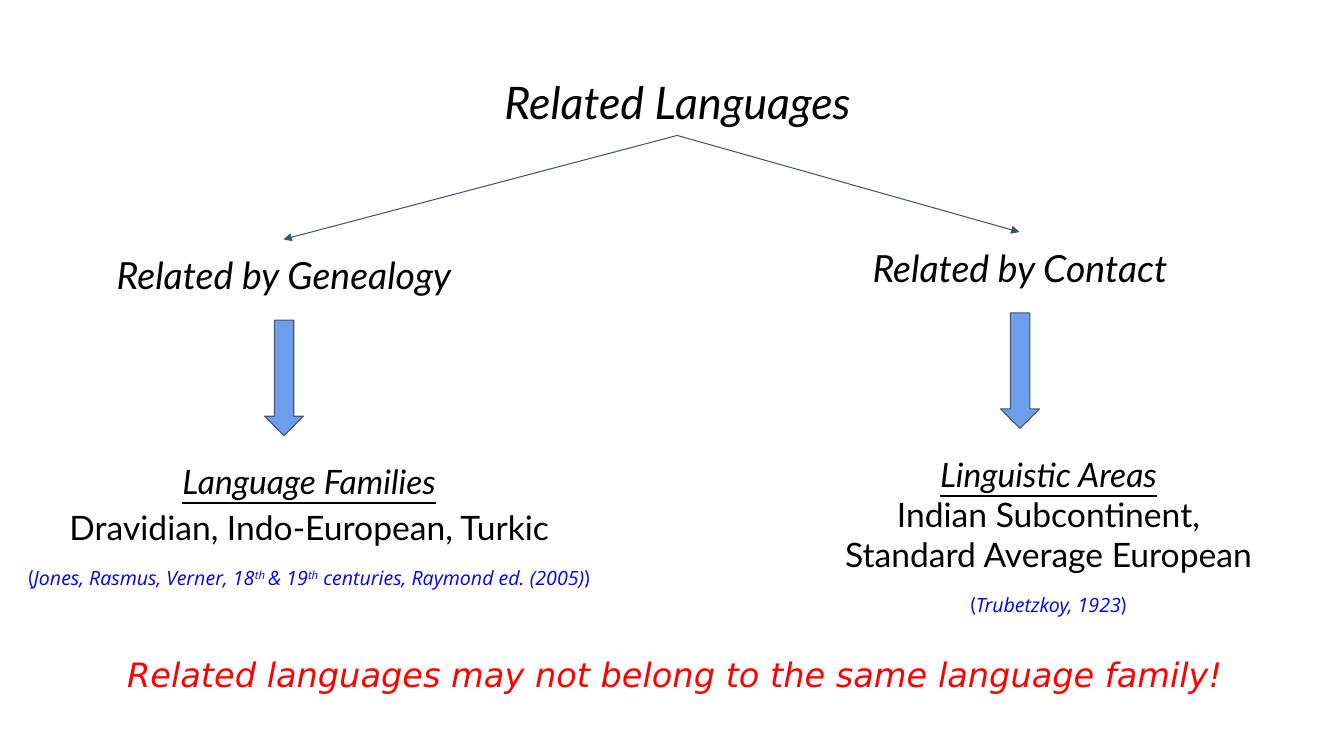
import pptx
import pptx.util
import pptx.dml.color
import pptx.enum.shapes
import pptx.enum.text
import pptx.oxml.ns
import lxml.etree

PX = 9525
THEME = {
    "ink": "000000", "cite": "0000FF", "warning": "FF0000",
    "arrow": "6D9EEB", "line": "44546A", "line_width": 0.75,
    "title": 32, "branch": 26.7, "body": 24, "note": 14,
    "main_font": "Lato", "cite_font": "Open Sans", "warning_font": "DejaVu Sans",
    "inset": 12,
}
CENTER = pptx.enum.text.PP_ALIGN.CENTER
LEFT = pptx.enum.text.PP_ALIGN.LEFT


def color(name):
    return pptx.dml.color.RGBColor.from_string(THEME[name])


def write(box, paragraphs):
    frame = box.text_frame
    frame.word_wrap = True
    frame.auto_size = pptx.enum.text.MSO_AUTO_SIZE.NONE
    frame.vertical_anchor = pptx.enum.text.MSO_ANCHOR.TOP
    for side in ("left", "top", "right", "bottom"):
        setattr(frame, f"margin_{side}", THEME["inset"] * PX)
    for index, (layout, ink, spans) in enumerate(paragraphs):
        para = frame.add_paragraph() if index else frame.paragraphs[0]
        for name, value in layout.items():
            setattr(para, name, value)
        for text, formats, baseline in spans:
            span = para.add_run()
            span.text = text
            span.font.color.rgb = color(ink)
            for name, value in formats.items():
                setattr(span.font, name, value)
            if baseline:
                span._r.get_or_add_rPr().set("baseline", str(baseline * 1000))


title_font, branch_font, plain, note = (
    {"name": THEME["main_font"], "size": pptx.util.Pt(THEME[role]), "italic": italic}
    for role, italic in (("title", True), ("branch", True), ("body", False), ("note", False))
)
heading = {**plain, "italic": True, "underline": True}
cite = {**note, "name": THEME["cite_font"], "italic": True}
warning = {**plain, "name": THEME["warning_font"], "italic": True}

BRANCHES = [
    {
        "name": "Related by Genealogy", "left": -5, "top": 228,
        "group": "Language Families", "body_left": 2, "body_width": 585,
        "members": "Dravidian, Indo-European, Turkic", "spacing": 1.15,
        "sources": [
            ("Jones, Rasmus, Verner, 18", 0), ("th ", 30), ("& 19", 0),
            ("th", 30), (" centuries, Raymond ed. (2005)", 0),
        ],
    },
    {
        "name": "Related by Contact", "left": 696, "top": 221,
        "group": "Linguistic Areas", "body_left": 790, "body_width": 417,
        "members": "Indian Subcontinent, Standard Average European", "spacing": 1.0,
        "sources": [("Trubetzkoy, 1923", 0)],
    },
]
BRANCH_WIDTH, HEADING_HEIGHT = 551, 70
ARROW_WIDTH, ARROW_HEIGHT, ARROW_DROP = 37, 110, 77
BODY_HEIGHT, BODY_DROP = 221, 199
ROOT_X, ROOT_Y = 645, 129

deck = pptx.Presentation()
deck.slide_width = 1280 * PX
deck.slide_height = 720 * PX
page = deck.slides.add_slide(deck.slide_layouts[5])
shapes = page.shapes

title = shapes.title
title.left, title.top, title.width, title.height = (n * PX for n in (299, 59, 693, HEADING_HEIGHT))
write(title, [({"alignment": CENTER}, "ink", [("Related Languages", title_font, 0)])])

for branch in BRANCHES:
    top = branch["top"]
    middle = branch["left"] + BRANCH_WIDTH // 2

    name_box = shapes.add_textbox(
        branch["left"] * PX, top * PX, BRANCH_WIDTH * PX, HEADING_HEIGHT * PX)
    write(name_box, [({"alignment": CENTER}, "ink", [(branch["name"], branch_font, 0)])])

    link = shapes.add_connector(
        pptx.enum.shapes.MSO_CONNECTOR.STRAIGHT, ROOT_X * PX, ROOT_Y * PX, middle * PX, top * PX)
    link.line.color.rgb = color("line")
    link.line.width = pptx.util.Pt(THEME["line_width"])
    tail = lxml.etree.SubElement(link.line._get_or_add_ln(), pptx.oxml.ns.qn("a:tailEnd"))
    tail.set("type", "triangle")
    lxml.etree.SubElement(link._element.spPr, pptx.oxml.ns.qn("a:effectLst"))

    arrow = shapes.add_shape(
        pptx.enum.shapes.MSO_SHAPE.DOWN_ARROW, (middle - ARROW_WIDTH // 2) * PX,
        (top + ARROW_DROP) * PX, ARROW_WIDTH * PX, ARROW_HEIGHT * PX)
    arrow.shadow.inherit = False
    arrow.fill.solid()
    arrow.fill.fore_color.rgb = color("arrow")
    arrow.line.color.rgb = color("line")
    arrow.line.width = pptx.util.Pt(THEME["line_width"])

    body = shapes.add_textbox(
        branch["body_left"] * PX, (top + BODY_DROP) * PX,
        branch["body_width"] * PX, BODY_HEIGHT * PX)
    sources = [(text, cite, baseline) for text, baseline in branch["sources"]]
    write(body, [
        ({"alignment": CENTER}, "ink", [(branch["group"], heading, 0)]),
        ({"alignment": CENTER, "line_spacing": branch["spacing"]}, "ink",
         [(branch["members"], plain, 0)]),
        ({"alignment": CENTER, "space_before": pptx.util.Pt(13.3)}, "cite",
         [("(", note, 0), *sources, (")", note, 0)]),
    ])

remark = shapes.add_textbox(109 * PX, 611 * PX, 1132 * PX, HEADING_HEIGHT * PX)
write(remark, [({"alignment": LEFT}, "warning", [
    ("Related languages may not belong to the same language family!", warning, 0)])])

deck.save("out.pptx")
